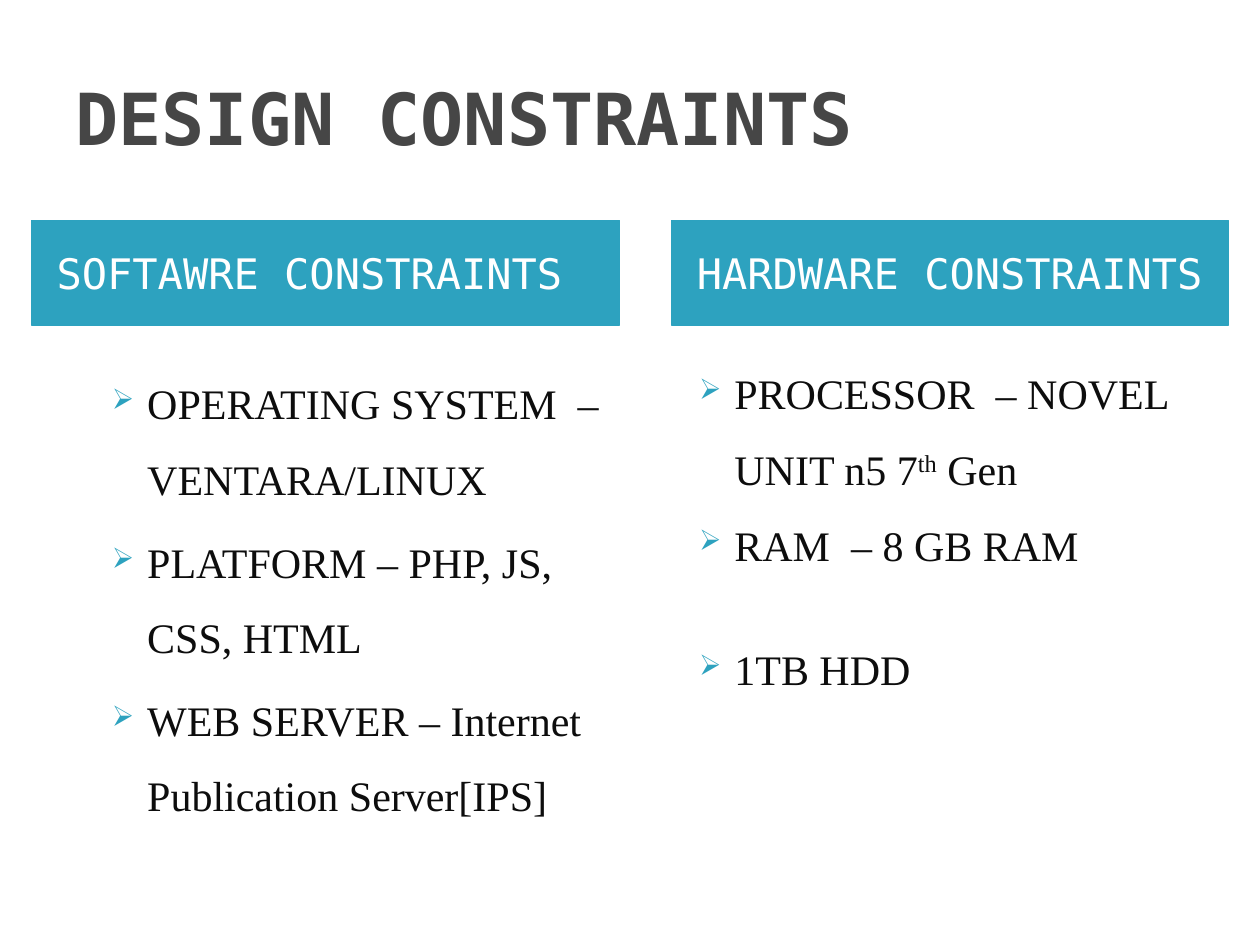
"""Build the design constraints slide with two headed bullet columns."""
import dataclasses

import lxml.etree
import pptx
import pptx.dml.color
import pptx.enum.shapes
import pptx.enum.text
import pptx.oxml.ns
import pptx.util

Inches = pptx.util.Inches
Pt = pptx.util.Pt
COLOURS = {"title": "464646", "accent": "2DA2BF", "heading": "FFFFFF", "body": "0D0D0D"}
MONO, SERIF = "DejaVu Sans Mono", "Times New Roman"


@dataclasses.dataclass(frozen=True)
class Span:
    text: str
    baseline: int = 0


@dataclasses.dataclass(frozen=True)
class Bullet:
    spans: tuple[Span, ...]
    space_before: float = 0


@dataclasses.dataclass(frozen=True)
class Column:
    heading: str
    heading_left: float
    width: float
    list_left: float
    list_top: float
    bullets: tuple[Bullet, ...]


COLUMNS = (
    Column("SOFTAWRE CONSTRAINTS", 0.25, 4.67, 0.67, 2.75, (
        Bullet((Span("OPERATING SYSTEM  – VENTARA/LINUX"),)),
        Bullet((Span("PLATFORM – PHP, JS, CSS, HTML"),), 4),
        Bullet((Span("WEB SERVER – Internet Publication Server[IPS]"),), 4),
    )),
    Column("HARDWARE CONSTRAINTS", 5.33, 4.42, 5.33, 2.67, (
        Bullet((Span("PROCESSOR  – NOVEL UNIT n5 7"), Span("th", 30000), Span(" Gen"))),
        Bullet((Span("RAM  – 8 GB RAM"),)),
        Bullet((Span("1TB HDD"),), 28),
    )),
)


def rgb(name: str) -> pptx.dml.color.RGBColor:
    """Return the named colour."""
    return pptx.dml.color.RGBColor.from_string(COLOURS[name])


def apply(target: object, values: dict) -> None:
    """Set each attribute of target from values."""
    for name, value in values.items():
        setattr(target, name, value)


def add_span(para, span: Span, size: int, face: str, colour: str, bold: bool = False) -> None:
    """Append one formatted run to a paragraph."""
    run = para.add_run()
    run.text = span.text
    apply(run.font, {"size": Pt(size), "name": face, "bold": bold})
    run.font.color.rgb = rgb(colour)
    if span.baseline:
        run._r.get_or_add_rPr().set("baseline", str(span.baseline))


def add_bullet_mark(para) -> None:
    """Give a paragraph a hanging arrow bullet."""
    qn = pptx.oxml.ns.qn
    properties = para._p.get_or_add_pPr()
    properties.set("marL", str(Inches(0.4)))
    properties.set("indent", str(Inches(-0.28)))
    colour = lxml.etree.SubElement(properties, qn("a:buClr"))
    lxml.etree.SubElement(colour, qn("a:srgbClr"), val=COLOURS["accent"])
    lxml.etree.SubElement(properties, qn("a:buSzPct"), val="68000")
    lxml.etree.SubElement(properties, qn("a:buChar"), char="➢")


def add_title(page, text: str) -> None:
    """Draw the slide title."""
    box = page.shapes.add_textbox(Inches(0.5), Inches(0.3), Inches(9), Inches(1.25))
    apply(box.text_frame, {"word_wrap": True,
                           "vertical_anchor": pptx.enum.text.MSO_ANCHOR.MIDDLE})
    add_span(box.text_frame.paragraphs[0], Span(text), 41, MONO, "title", True)


def add_heading(page, column: Column) -> None:
    """Draw the filled heading of a column."""
    box = page.shapes.add_shape(
        pptx.enum.shapes.MSO_SHAPE.RECTANGLE,
        Inches(column.heading_left), Inches(1.75), Inches(column.width), Inches(0.83))
    box.shadow.inherit = False
    box.fill.solid()
    box.fill.fore_color.rgb = rgb("accent")
    box.line.color.rgb = rgb("accent")
    box.line.width = Pt(0.75)
    apply(box.text_frame, {"word_wrap": True, "margin_left": Inches(0.2),
                           "vertical_anchor": pptx.enum.text.MSO_ANCHOR.MIDDLE})
    para = box.text_frame.paragraphs[0]
    para.alignment = pptx.enum.text.PP_ALIGN.LEFT
    add_span(para, Span(column.heading), 24, MONO, "heading")


def add_list(page, column: Column) -> None:
    """Draw the bullet list of a column."""
    box = page.shapes.add_textbox(
        Inches(column.list_left), Inches(column.list_top), Inches(4.42), Inches(4.31))
    frame = box.text_frame
    frame.word_wrap = True
    for index, bullet in enumerate(column.bullets):
        para = frame.add_paragraph() if index else frame.paragraphs[0]
        add_bullet_mark(para)
        apply(para, {"line_spacing": 1.5, "space_before": Pt(bullet.space_before)})
        for span in bullet.spans:
            add_span(para, span, 24, SERIF, "body")


def main() -> None:
    """Build and save the deck."""
    deck = pptx.Presentation()
    apply(deck, {"slide_width": Inches(10), "slide_height": Inches(7.5)})
    page = deck.slides.add_slide(deck.slide_layouts[6])
    add_title(page, "DESIGN CONSTRAINTS")
    for column in COLUMNS:
        add_heading(page, column)
        add_list(page, column)
    deck.save("out.pptx")


if __name__ == "__main__":
    main()
